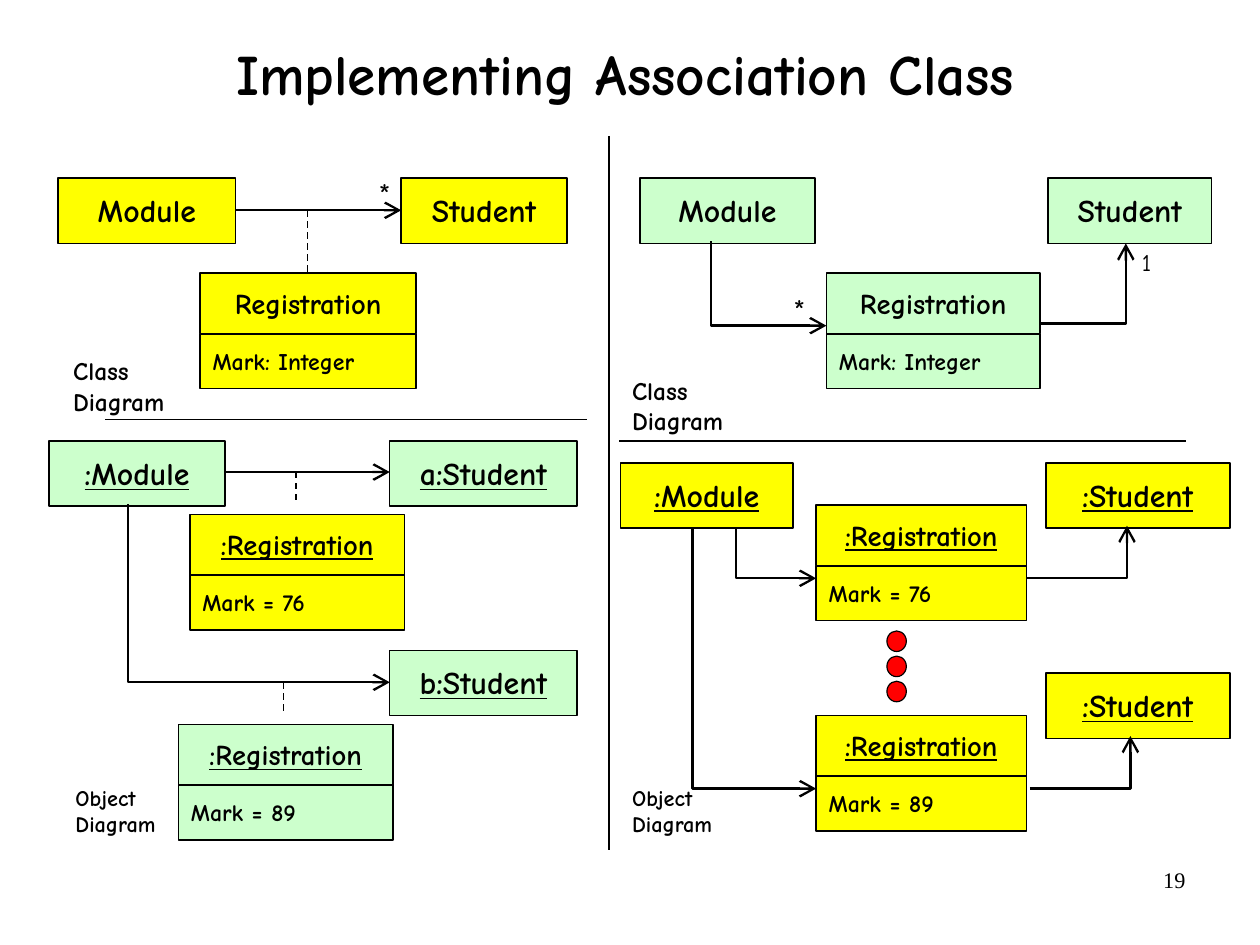
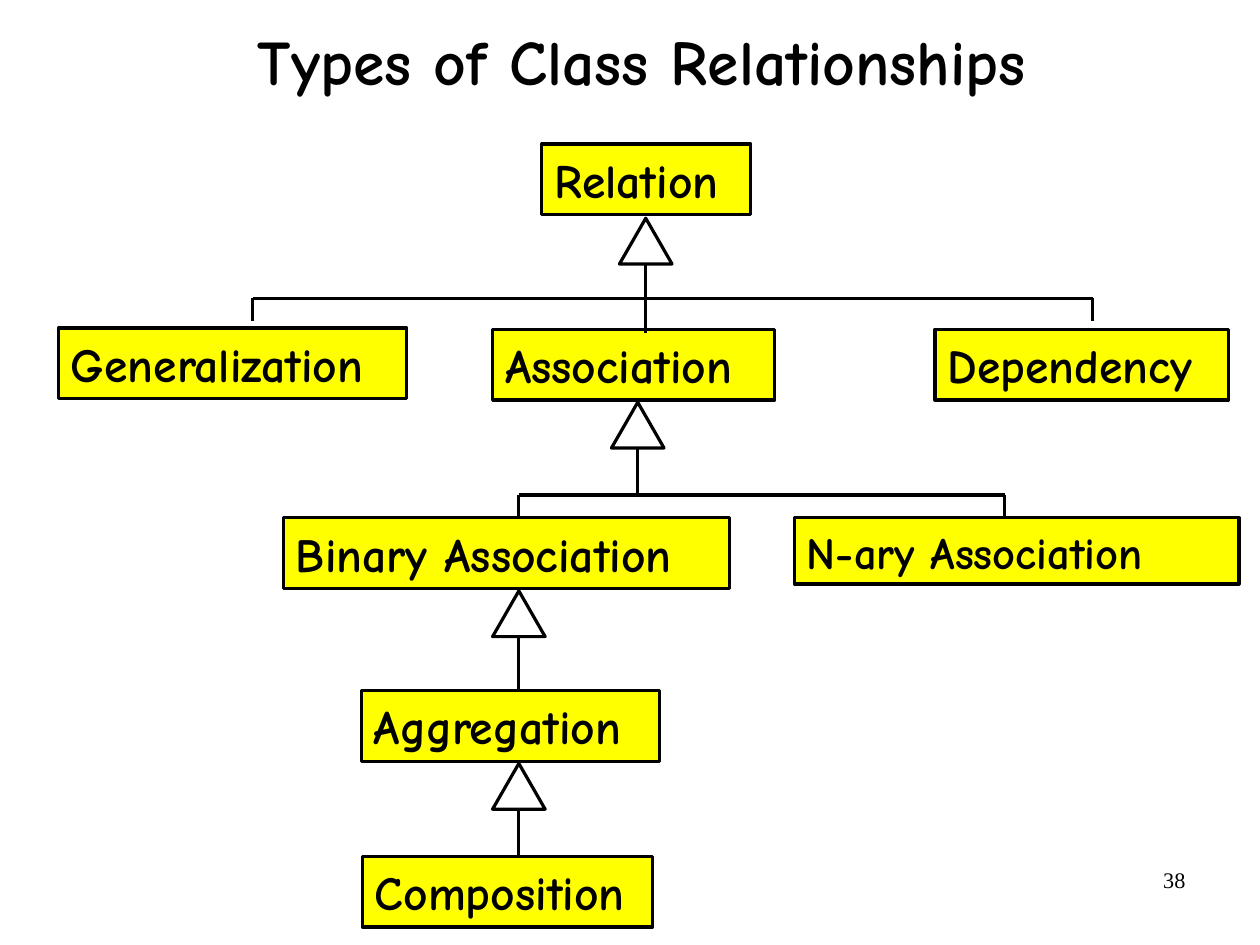
from lxml.etree import SubElement
from pptx import Presentation
from pptx.dml.color import RGBColor
from pptx.enum.dml import MSO_LINE
from pptx.enum.shapes import MSO_CONNECTOR, MSO_SHAPE
from pptx.enum.text import MSO_ANCHOR, PP_ALIGN
from pptx.oxml.ns import qn
from pptx.util import Cm, Inches, Pt

BLACK = RGBColor(0, 0, 0)
WHITE = RGBColor(255, 255, 255)
YELLOW = RGBColor(255, 255, 0)
GREEN = RGBColor(204, 255, 204)
RED = RGBColor(255, 0, 0)
FONT = "Comic Neue"
PAGE_FONT = "Times New Roman"
TITLE_ONLY = 5
NAME_H, MARK_H = 0.53, 0.48
TIP_W, TIP_H = 0.46, 0.4


def write(shape, text, size, align=PP_ALIGN.LEFT, bold=True, under=False,
          font=FONT, side=0.11, inset=0.06, anchor=MSO_ANCHOR.TOP):
    """Set the one paragraph of a shape and format it."""
    frame = shape.text_frame
    frame.text = text
    frame.word_wrap = True
    frame.vertical_anchor = anchor
    frame.margin_left = frame.margin_right = Inches(side)
    frame.margin_top = frame.margin_bottom = Inches(inset)
    para = frame.paragraphs[0]
    para.alignment = align
    for run in para.runs:
        run.font.name = font
        run.font.size = Pt(size)
        run.font.bold = bold
        run.font.underline = under
        run.font.color.rgb = BLACK


def label(slide, text, x, y, w, h, size, **style):
    box = slide.shapes.add_textbox(Inches(x), Inches(y), Inches(w), Inches(h))
    write(box, text, size, **style)


def draw(slide, kind, x, y, w, h, fill, width=1):
    """Add a filled preset shape with a black outline."""
    shape = slide.shapes.add_shape(
        kind, Inches(x), Inches(y), Inches(w), Inches(h))
    shape.shadow.inherit = False
    shape.fill.solid()
    shape.fill.fore_color.rgb = fill
    shape.line.color.rgb = BLACK
    shape.line.width = Pt(width)
    return shape


def box(slide, text, x, y, w, fill, size=20, h=0.57, align=PP_ALIGN.CENTER):
    """Add a name box; names of objects are underlined."""
    shape = draw(slide, MSO_SHAPE.RECTANGLE, x, y, w, h, fill)
    under = ":" in text and align == PP_ALIGN.CENTER
    write(shape, text, size, align, under=under, inset=0.11)


def record(slide, name, mark, x, y, w, fill):
    """Add a name box with an attribute box below it."""
    box(slide, name, x, y, w, fill, 18, NAME_H)
    box(slide, mark, x, y + NAME_H, w, fill, 15, MARK_H, PP_ALIGN.LEFT)


def link(slide, *points, width=1.5, arrow=False, dash=False):
    """Join two points with a connector, or more with an open outline."""
    spots = [(Inches(x), Inches(y)) for x, y in points]
    if len(spots) == 2:
        line = slide.shapes.add_connector(
            MSO_CONNECTOR.STRAIGHT, *spots[0], *spots[1])
        SubElement(line.element.spPr, qn("a:effectLst"))
    else:
        maker = slide.shapes.build_freeform(*spots[0])
        maker.add_line_segments(spots[1:], close=False)
        line = maker.convert_to_shape()
        line.fill.background()
        line.shadow.inherit = False
    line.line.color.rgb = BLACK
    line.line.width = Pt(width)
    if dash:
        line.line.dash_style = MSO_LINE.DASH
    if arrow:
        SubElement(line.element.spPr.find(qn("a:ln")), qn("a:tailEnd"),
                   type="arrow", w="lg", len="lg")


def start(deck, title, page, place, size, anchor):
    """Add a slide with its title and page number."""
    slide = deck.slides.add_slide(deck.slide_layouts[TITLE_ONLY])
    head = slide.shapes.title
    head.left, head.top, head.width, head.height = map(Inches, place)
    write(head, title, size, PP_ALIGN.CENTER, anchor=anchor)
    head.text_frame.paragraphs[0].line_spacing = 0.88
    label(slide, page, 7.9, 7.53, 2.57, 0.57, 14, align=PP_ALIGN.RIGHT,
          bold=False, font=PAGE_FONT, side=0.1, inset=0.05)
    return slide


def classes(slide):
    """Draw the two class diagrams."""
    box(slide, "Module", 0.51, 1.56, 1.55, YELLOW)
    box(slide, "Student", 3.51, 1.56, 1.45, YELLOW)
    record(slide, "Registration", "Mark: Integer", 1.75, 2.39, 1.89, YELLOW)
    link(slide, (2.06, 1.84), (3.51, 1.84), arrow=True)
    link(slide, (2.69, 1.84), (2.69, 2.39), width=1, dash=True)

    box(slide, "Module", 5.6, 1.56, 1.53, GREEN)
    box(slide, "Student", 9.17, 1.56, 1.43, GREEN)
    record(slide, "Registration", "Mark: Integer", 7.23, 2.39, 1.87, GREEN)
    link(slide, (6.22, 2.11), (6.22, 2.85), (7.23, 2.85), arrow=True)
    link(slide, (9.1, 2.83), (9.85, 2.83), (9.85, 2.13), arrow=True)

    for text, x, y, h, size in (("*", 3.2, 1.47, 0.44, 20),
                                ("*", 6.83, 2.48, 0.44, 20),
                                ("1", 9.88, 2.11, 0.36, 15)):
        label(slide, text, x, y, 0.51, h, size, bold=False)


def objects(slide):
    """Draw the two object diagrams."""
    box(slide, ":Module", 0.43, 3.86, 1.54, GREEN)
    box(slide, "a:Student", 3.41, 3.86, 1.64, GREEN)
    box(slide, "b:Student", 3.41, 5.69, 1.64, GREEN)
    record(slide, ":Registration", "Mark = 76", 1.66, 4.5, 1.88, YELLOW)
    record(slide, ":Registration", "Mark = 89", 1.56, 6.34, 1.88, GREEN)
    link(slide, (1.97, 4.13), (3.41, 4.13), arrow=True)
    link(slide, (1.12, 4.41), (1.12, 5.97), (3.41, 5.97), arrow=True)
    for x, y in ((2.59, 4.13), (2.48, 5.97)):
        link(slide, (x, y), (x, y + 0.28), width=1, dash=True)

    box(slide, ":Module", 5.43, 4.05, 1.51, YELLOW)
    for mark, y, bend, out, end in (("Mark = 76", 4.05, 6.44, 8.98, 9.86),
                                    ("Mark = 89", 5.89, 6.06, 9.01, 9.89)):
        mid = y + 1.01
        box(slide, ":Student", 9.15, y, 1.61, YELLOW)
        record(slide, ":Registration", mark, 7.14, y + 0.37, 1.84, YELLOW)
        link(slide, (bend, 4.63), (bend, mid), (7.14, mid), arrow=True)
        link(slide, (out, mid), (end, mid), (end, y + 0.55), arrow=True)
    for row in range(3):
        draw(slide, MSO_SHAPE.OVAL, 7.76, 5.52 + row * 0.22, 0.17, 0.18,
             RED, 0.75)


def panels(slide):
    """Draw the dividing lines and the captions of the four parts."""
    link(slide, (5.33, 1.19), (5.33, 7.44), width=1.25)
    link(slide, (0.92, 3.67), (5.14, 3.67), width=1)
    link(slide, (5.42, 3.86), (10.38, 3.86), width=1)
    for text, x, y, w, h, size in (
            ("Class Diagram", 0.53, 3.05, 1.4, 0.65, 16),
            ("Class Diagram", 5.42, 3.22, 1.26, 0.65, 16),
            ("Object Diagram", 0.55, 6.8, 1.22, 0.58, 14),
            ("Object Diagram", 5.42, 6.8, 1.18, 0.58, 14)):
        label(slide, text, x, y, w, h, size)


def tree(slide):
    """Draw the hierarchy of relationship types."""
    for text, x, y, w, h, size in (
            ("Relation", 4.74, 1.26, 1.83, 0.62, 30),
            ("Generalization", 0.51, 2.87, 3.05, 0.62, 30),
            ("Association", 4.31, 2.88, 2.47, 0.62, 30),
            ("Dependency", 8.18, 2.88, 2.57, 0.62, 30),
            ("Binary Association", 2.48, 4.53, 3.9, 0.62, 30),
            ("N-ary Association", 6.95, 4.53, 3.89, 0.58, 28),
            ("Aggregation", 3.16, 6.04, 2.61, 0.62, 30),
            ("Composition", 3.17, 7.49, 2.54, 0.62, 30)):
        shape = draw(slide, MSO_SHAPE.RECTANGLE, x, y, w, h, YELLOW, 2)
        write(shape, text, size)

    for x, top, end in ((5.65, 1.91, 2.91), (5.58, 3.52, 4.33),
                        (4.54, 5.17, 6.04), (4.54, 6.68, 7.49)):
        draw(slide, MSO_SHAPE.ISOSCELES_TRIANGLE, x - TIP_W / 2, top,
             TIP_W, TIP_H, WHITE, 2)
        link(slide, (x, top + TIP_H), (x, end), width=2)

    for left, right, y in ((2.21, 9.56, 2.61), (4.54, 8.79, 4.33)):
        link(slide, (left, y), (right, y), width=2)
        for x in (left, right):
            link(slide, (x, y), (x, y + 0.2), width=2)


def main():
    deck = Presentation()
    deck.slide_width, deck.slide_height = Cm(28), Cm(21)

    slide = start(deck, "Implementing Association Class", "19",
                  (0.77, 0.35, 9.4, 1.37), 36, MSO_ANCHOR.TOP)
    classes(slide)
    objects(slide)
    panels(slide)

    slide = start(deck, "Types of Class Relationships", "38",
                  (0.85, -0.12, 9.53, 1.38), 40, MSO_ANCHOR.MIDDLE)
    tree(slide)
    deck.save("out.pptx")


if __name__ == "__main__":
    main()
